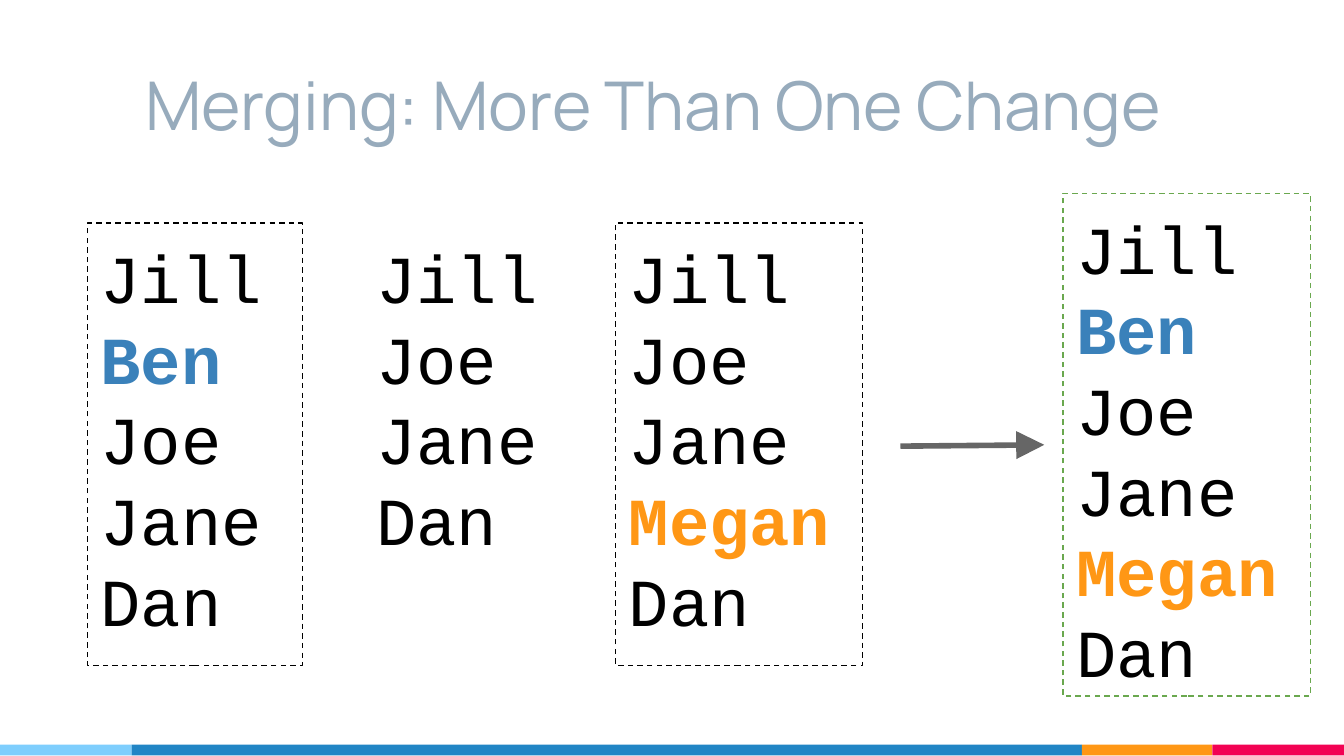
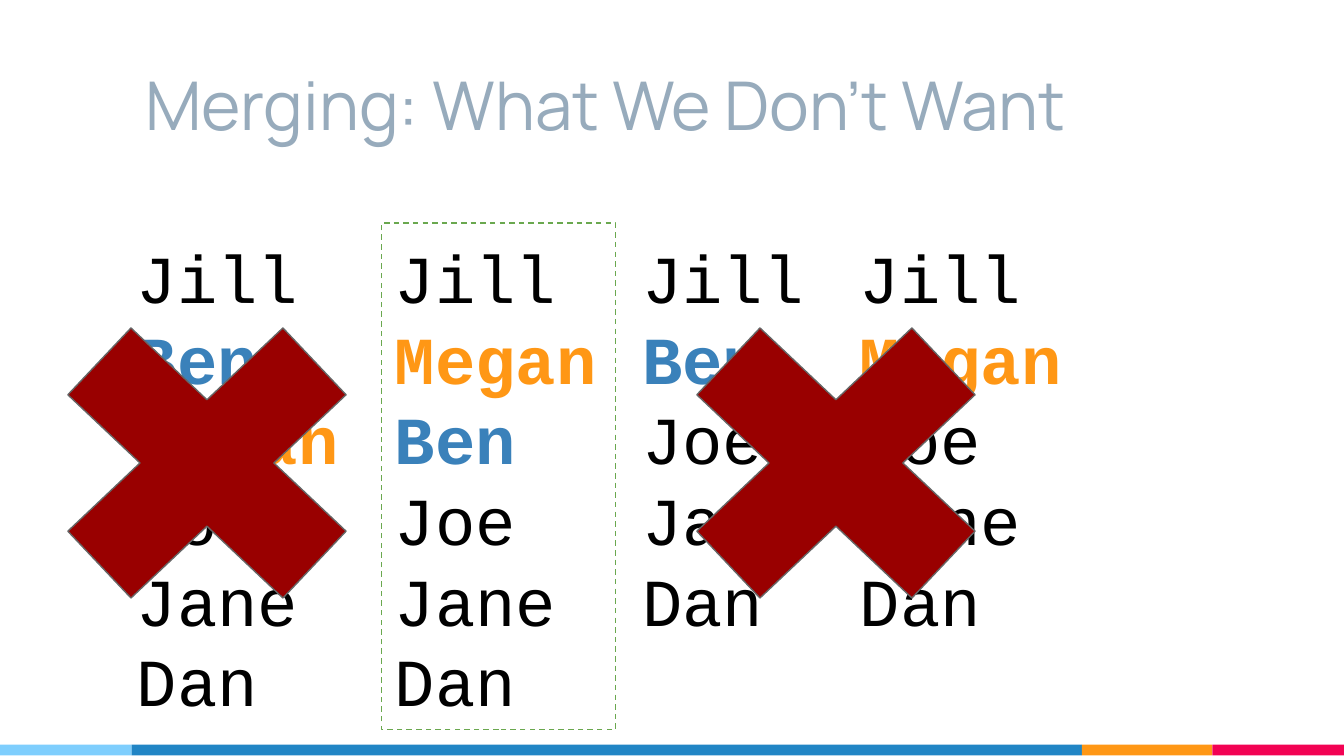
from dataclasses import dataclass, field

from lxml.etree import SubElement
from pptx import Presentation
from pptx.dml.color import RGBColor
from pptx.enum.dml import MSO_LINE
from pptx.enum.shapes import MSO_CONNECTOR, MSO_SHAPE
from pptx.enum.text import MSO_ANCHOR, MSO_AUTO_SIZE, PP_ALIGN
from pptx.oxml.ns import qn
from pptx.util import Pt

PX = 9144


@dataclass(frozen=True)
class Theme:
    title_font: str = "Manrope"
    list_font: str = "Courier New"
    size: int = 36
    thin: float = 0.75
    thick: float = 3
    inset: int = 10
    title: str = "97ABBC"
    text: str = "000000"
    merged: str = "6AA84F"
    gray: str = "666666"
    wrong: str = "990000"
    changes: dict = field(default_factory=lambda: {"Ben": "3A81BA", "Megan": "FF9715"})
    bands: tuple = ("7ECEFD", "2185C5", "FF9715", "F20253")
    band_edges: tuple = (0, 98, 805, 902, 1000)


def rgb(color):
    return RGBColor.from_string(color)


def emu(*lengths):
    return [length * PX for length in lengths]


class Deck:
    def __init__(self, theme):
        self.theme = theme
        self.prs = Presentation()
        self.prs.slide_width = 1000 * PX
        self.prs.slide_height = 1000 * PX * 9 // 16
        self.layout = self.prs.slide_layouts[5]
        self.s = None

    def slide(self, title):
        first = self.s is None
        self.s = self.prs.slides.add_slide(self.layout)
        if first:
            self.bands()
        sp = self.s.shapes.title
        sp.left, sp.top, sp.width, sp.height = emu(98, 23, 872, 94)
        tf = sp.text_frame
        tf.text = title
        self.frame(tf, MSO_ANCHOR.BOTTOM)
        self.style(tf.paragraphs[0], self.theme.title_font, self.theme.title)

    def bands(self):
        edges = self.theme.band_edges
        for i, color in enumerate(self.theme.bands):
            sp = self.shape(MSO_SHAPE.RECTANGLE, edges[i], 554, edges[i + 1] - edges[i], 8, fill=color)
            sp.element.nvSpPr.cNvPr.set("id", str(100 + i))
            self.layout.shapes.element.append(sp.element)

    def shape(self, kind, x, y, w, h, fill=None, line=None):
        sp = self.s.shapes.add_shape(kind, *emu(x, y, w, h))
        sp.shadow.inherit = False
        if fill:
            sp.fill.solid()
            sp.fill.fore_color.rgb = rgb(fill)
        else:
            sp.fill.background()
        if line:
            sp.line.color.rgb = rgb(line)
            sp.line.width = Pt(self.theme.thin)
        else:
            sp.line.fill.background()
        return sp

    def frame(self, tf, anchor):
        tf.auto_size = MSO_AUTO_SIZE.NONE
        tf.word_wrap = True
        tf.vertical_anchor = anchor
        inset = self.theme.inset * PX
        tf.margin_left = tf.margin_top = tf.margin_right = tf.margin_bottom = inset

    def style(self, p, font, color, bold=False):
        p.alignment = PP_ALIGN.LEFT
        for r in p.runs:
            r.font.name = font
            r.font.size = Pt(self.theme.size)
            r.font.bold = bold
            r.font.color.rgb = rgb(color)

    def names(self, x, y, w, h, names, line=None):
        if line:
            sp = self.shape(MSO_SHAPE.RECTANGLE, x, y, w, h, line=line)
            sp.line.dash_style = MSO_LINE.DASH
        else:
            sp = self.s.shapes.add_textbox(*emu(x, y, w, h))
        tf = sp.text_frame
        tf.text = "\n".join(names.split())
        self.frame(tf, MSO_ANCHOR.TOP)
        t = self.theme
        for p in tf.paragraphs:
            self.style(p, t.list_font, t.changes.get(p.text, t.text), p.text in t.changes)

    def arrow(self, x1, y1, x2, y2):
        c = self.s.shapes.add_connector(MSO_CONNECTOR.STRAIGHT, *emu(x1, y1, x2, y2))
        c.line.color.rgb = rgb(self.theme.gray)
        c.line.width = Pt(self.theme.thick)
        ln = c.element.spPr.find(qn("a:ln"))
        SubElement(ln, qn("a:tailEnd"), type="triangle", w="lg", len="lg")
        SubElement(c.element.spPr, qn("a:effectLst"))

    def cross(self, x):
        sp = self.shape(MSO_SHAPE.MATH_MULTIPLY, x, 199, 308, 291, self.theme.wrong, self.theme.gray)
        sp.adjustments[0] = 0.235


def more_than_one_change(deck):
    t = deck.theme
    deck.slide("Merging: More Than One Change")
    deck.names(270, 166, 143, 290, "Jill Joe Jane Dan")
    deck.names(65, 166, 160, 329, "Jill Ben Joe Jane Dan", t.text)
    deck.names(458, 166, 184, 329, "Jill Joe Jane Megan Dan", t.text)
    deck.names(791, 144, 184, 374, "Jill Ben Joe Jane Megan Dan", t.merged)
    deck.arrow(670, 332, 777, 331)


def what_we_dont_want(deck):
    deck.slide("Merging: What We Don’t Want")
    deck.names(92, 166, 174, 290, "Jill Ben Megan Joe Jane Dan")
    deck.names(284, 166, 174, 377, "Jill Megan Ben Joe Jane Dan", deck.theme.merged)
    deck.names(630, 166, 174, 290, "Jill Megan Joe Jane Dan")
    deck.names(468, 166, 174, 290, "Jill Ben Joe Jane Dan")
    for x in (468, 0):
        deck.cross(x)


def main():
    deck = Deck(Theme())
    more_than_one_change(deck)
    what_we_dont_want(deck)
    deck.prs.save("out.pptx")


if __name__ == "__main__":
    main()
